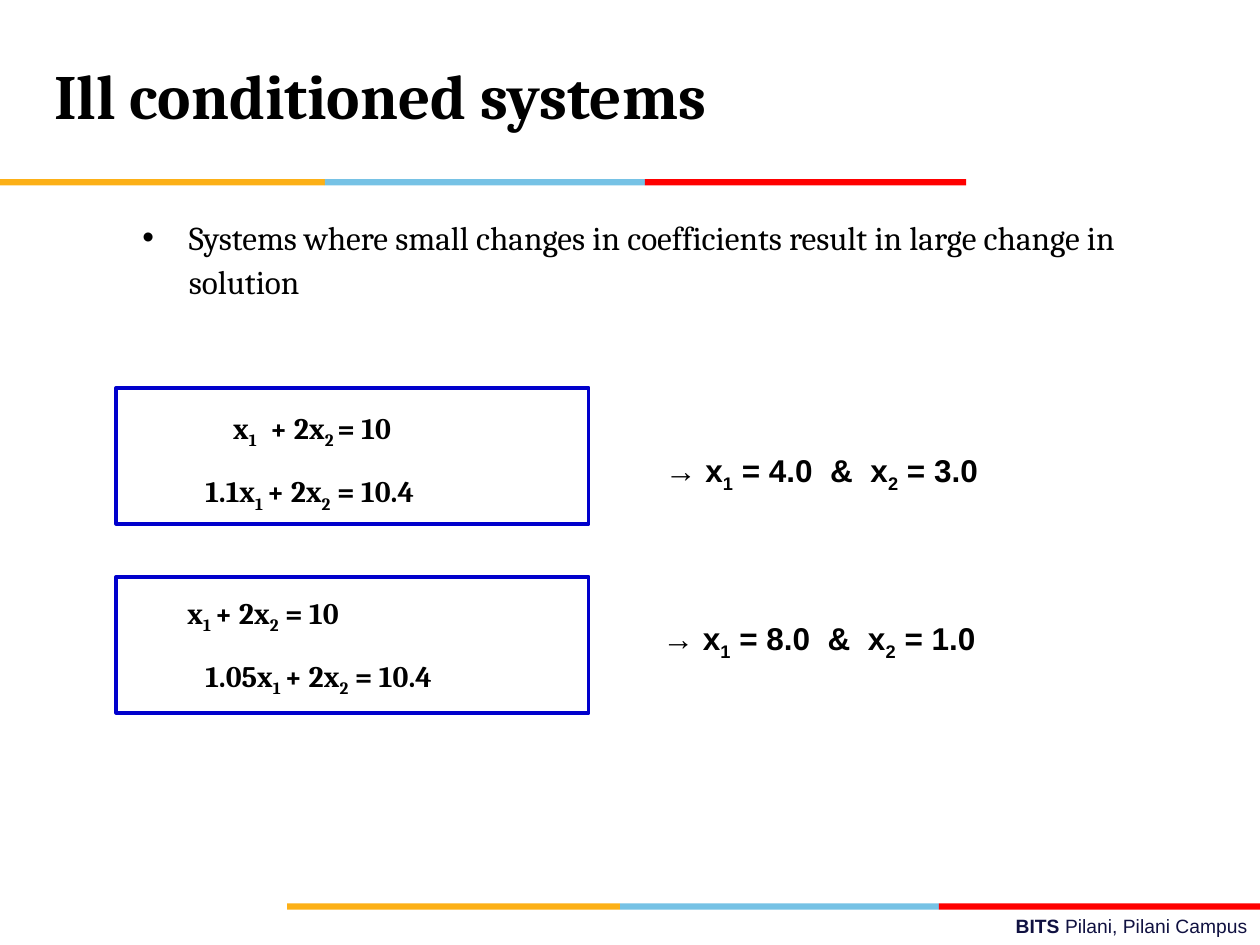
from lxml.etree import SubElement
from pptx import Presentation
from pptx.dml.color import RGBColor
from pptx.enum.shapes import MSO_SHAPE
from pptx.enum.text import MSO_ANCHOR, MSO_AUTO_SIZE, PP_ALIGN
from pptx.oxml.ns import qn
from pptx.util import Cm, Pt

# Content: text between underscores is set as a subscript
TITLE = "Ill conditioned systems"
DEFINITION = ("Systems where small changes in coefficients result in "
              "large change in solution")
# equation, left indent (cm), space before (pt)
EQUATIONS = [
    ("x_1_  + 2x_2 _= 10", 3.1, 60),
    ("1.1x_1 _+ 2x_2_ = 10.4", 2.54, 10.6),
    ("x_1 _+ 2x_2_ = 10", 2.18, 44),
    ("1.05x_1 _+ 2x_2_ = 10.4", 2.54, 10.6),
]
# solution, box (cm), left indent (cm)
SOLUTIONS = [
    ("→ x_1_ = 4.0  &  x_2_ = 3.0", (11.89, 8.89, 8.08, 1.22), 1.27),
    ("→ x_1_ = 8.0  &  x_2_ = 1.0", (11.66, 12.27, 8.26, 1.22), 1.45),
]
FOOTER = [("BITS ", True), ("Pilani, Pilani Campus", False)]

# Theme
THEME = {
    "serif": "Cambria", "sans": "Arial",
    "ink": "000000", "navy": "101141", "frame": "0000CC",
    "bars": ("FCB017", "76C2E5", "FF0000"),
    "title": 36, "body": 19, "equation": 17, "solution": 18, "footer": 11,
}

# Layout (cm)
FRAME = (2.34, 7.82, 9.53, 2.74)
FRAME_STEP = 3.81
BAR_HEIGHT = 0.13
# left, top, segment widths
RULES = [(0, 3.61, (6.55, 6.45, 6.48)), (5.79, 18.21, (6.71, 6.43, 6.47))]


def cm(*values):
    return [Cm(v) for v in values]


def color(name):
    return RGBColor.from_string(THEME.get(name, name))


def style(font, face, size, ink="ink", bold=False):
    font.name, font.size, font.bold = THEME[face], Pt(THEME[size]), bold
    font.color.rgb = color(ink)


def add_text_box(s, box):
    tf = s.shapes.add_textbox(*cm(*box)).text_frame
    tf.word_wrap = True
    return tf


def indent(p, left, first=0):
    pPr = p._p.get_or_add_pPr()
    pPr.set("marL", str(Cm(left)))
    pPr.set("indent", str(Cm(first)))
    return pPr


def add_math(p, text, face, size):
    p.line_spacing = 1.1
    for i, part in enumerate(text.split("_")):
        r = p.add_run()
        r.text = part
        style(r.font, face, size, bold=True)
        if i % 2:
            r._r.get_or_add_rPr().set("baseline", "-25000")


def add_rectangle(s, box):
    sp = s.shapes.add_shape(MSO_SHAPE.RECTANGLE, *cm(*box))
    sp.shadow.inherit = False
    return sp


def main():
    prs = Presentation()
    prs.slide_width, prs.slide_height = cm(25.4, 19.05)
    s = prs.slides.add_slide(prs.slide_layouts[5])

    # Footer
    p = add_text_box(s, (9.09, 18.31, 16.31, 0.74)).paragraphs[0]
    p.alignment = PP_ALIGN.RIGHT
    for text, bold in FOOTER:
        r = p.add_run()
        r.text = text
        style(r.font, "sans", "footer", "navy", bold)

    # Three-colour rules
    for left, top, widths in RULES:
        for width, fill in zip(widths, THEME["bars"]):
            sp = add_rectangle(s, (left, top, width, BAR_HEIGHT))
            sp.fill.solid()
            sp.fill.fore_color.rgb = color(fill)
            sp.line.fill.background()
            left += width

    # Title
    title = s.shapes.title
    title.left, title.top, title.width, title.height = cm(0.84, 0.43, 17.58, 3.18)
    tf = title.text_frame
    tf.text = TITLE
    tf.vertical_anchor = MSO_ANCHOR.MIDDLE
    p = tf.paragraphs[0]
    p.alignment, p.line_spacing = PP_ALIGN.LEFT, Pt(36)
    style(p.runs[0].font, "serif", "title", bold=True)

    # Definition and equations
    tf = add_text_box(s, (1.35, 4.17, 23.5, 14.81))
    p = tf.paragraphs[0]
    p.text = DEFINITION
    p.line_spacing = 1.1
    pPr = indent(p, 2.21, -0.94)
    SubElement(pPr, qn("a:buFont")).set("typeface", THEME["sans"])
    SubElement(pPr, qn("a:buChar")).set("char", "•")
    style(p.runs[0].font, "serif", "body")
    for text, left, before in EQUATIONS:
        p = tf.add_paragraph()
        indent(p, left)
        p.space_before = Pt(before)
        add_math(p, text, "serif", "equation")

    # Frames and solutions
    x, y, w, h = FRAME
    for i, (text, box, left) in enumerate(SOLUTIONS):
        sp = add_rectangle(s, (x, y + i * FRAME_STEP, w, h))
        sp.fill.background()
        sp.line.color.rgb = color("frame")
        sp.line.width = Pt(2)
        tf = add_text_box(s, box)
        tf.word_wrap = False
        tf.auto_size = MSO_AUTO_SIZE.SHAPE_TO_FIT_TEXT
        indent(tf.paragraphs[0], left)
        add_math(tf.paragraphs[0], text, "sans", "solution")

    prs.save("out.pptx")


if __name__ == "__main__":
    main()
